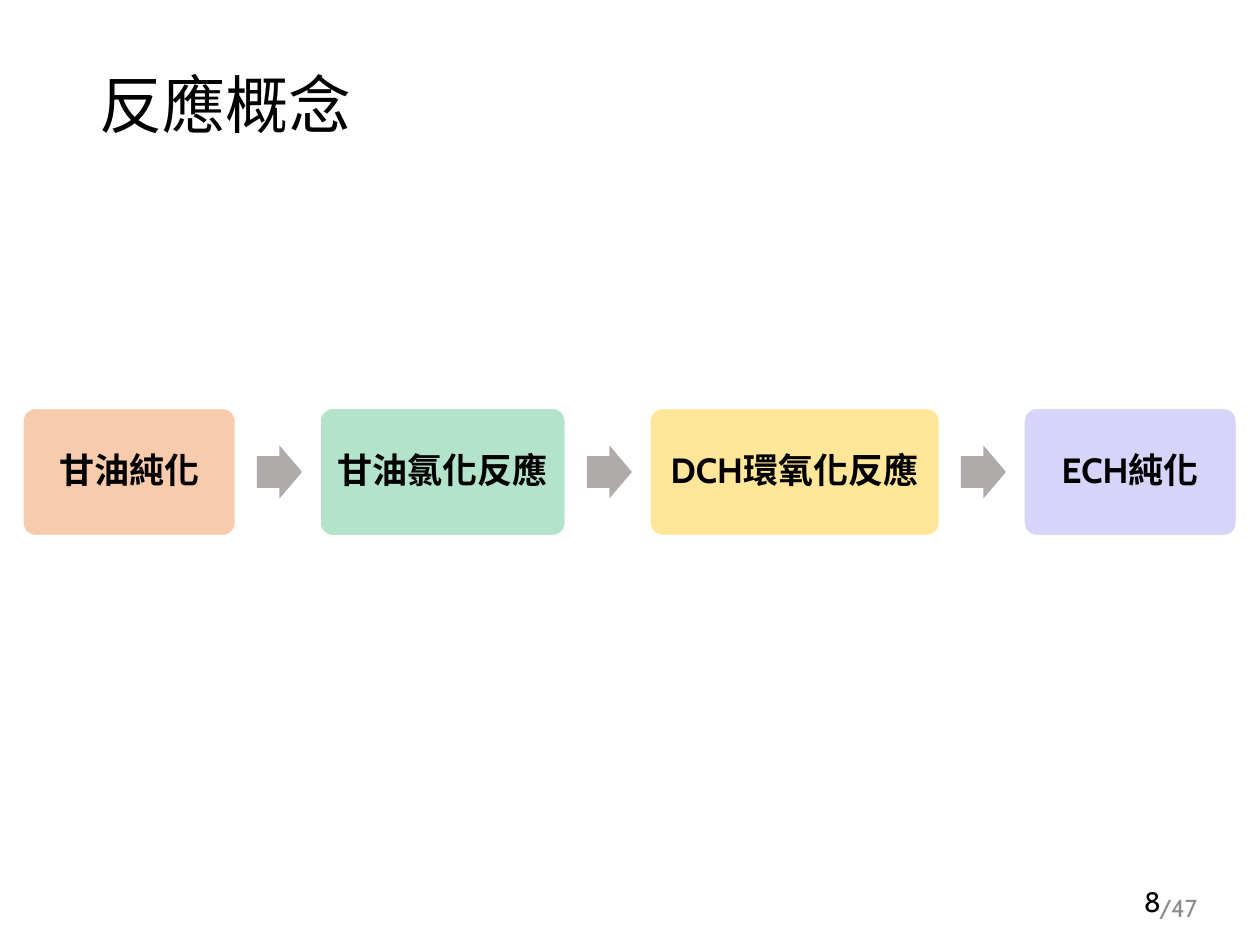
from lxml.etree import SubElement
from pptx import Presentation
from pptx.dml.color import RGBColor
from pptx.enum.shapes import MSO_SHAPE as SHAPE
from pptx.enum.text import MSO_ANCHOR as ANCHOR, PP_ALIGN as ALIGN
from pptx.oxml.ns import qn
from pptx.util import Cm, Pt

COLORS = {
    "black": "000000",
    "white": "FFFFFF",
    "gray": "8C8C8C",
    "arrow": "AFABAB",
    "peach": "F8CBAD",
    "mint": "B3E3CB",
    "yellow": "FFE699",
    "lilac": "D7D4FA",
}
FONT = "Cabin"
STEPS = [
    ("甘油純化", 4.29, "peach"),
    ("甘油氯化反應", 4.95, "mint"),
    ("DCH環氧化反應", 5.84, "yellow"),
    ("ECH純化", 4.29, "lilac"),
]
LEFT, GAP = 0.46, 1.7
STEP_TOP, STEP_H = 8.23, 2.57
ARROW_W, ARROW_H, ARROW_OFFSET = 0.91, 1.07, 0.43


def rgb(name):
    return RGBColor.from_string(COLORS[name])


def write(tf, text, size=20, color="black", bold=False, align=ALIGN.LEFT, spacing=1.0):
    tf.word_wrap = True
    tf.vertical_anchor = ANCHOR.MIDDLE
    p = tf.paragraphs[0]
    p.alignment = align
    p.line_spacing = spacing
    r = p.add_run()
    r.text = text
    r.font.size = Pt(size)
    r.font.bold = bold
    r.font.name = FONT
    r.font.color.rgb = rgb(color)
    props = r.font._element
    props.set("lang", "zh-TW")
    SubElement(props, qn("a:ea")).set("typeface", FONT)


class Deck:
    def __init__(self, width, height):
        self.prs = Presentation()
        self.prs.slide_width, self.prs.slide_height = Cm(width), Cm(height)
        self.s = self.prs.slides.add_slide(self.prs.slide_layouts[6])

    def text(self, x, y, w, h, text, **fmt):
        sp = self.s.shapes.add_textbox(Cm(x), Cm(y), Cm(w), Cm(h))
        write(sp.text_frame, text, **fmt)

    def shape(self, kind, x, y, w, h, fill, adjustments):
        sp = self.s.shapes.add_shape(kind, Cm(x), Cm(y), Cm(w), Cm(h))
        sp.shadow.inherit = False
        sp.fill.solid()
        sp.fill.fore_color.rgb = rgb(fill)
        sp.line.fill.background()
        for i, value in enumerate(adjustments):
            sp.adjustments[i] = value
        return sp

    def step(self, x, w, text, fill):
        sp = self.shape(SHAPE.ROUNDED_RECTANGLE, x, STEP_TOP, w, STEP_H, fill, [0.1])
        sp.line.color.rgb = rgb("white")
        sp.line.width = Pt(1)
        tf = sp.text_frame
        tf.margin_left = tf.margin_right = Cm(0.2)
        tf.margin_top = tf.margin_bottom = Cm(0.2)
        write(tf, text, bold=True, align=ALIGN.CENTER, spacing=0.9)

    def arrow(self, x):
        y = STEP_TOP + (STEP_H - ARROW_H) / 2
        self.shape(SHAPE.RIGHT_ARROW, x, y, ARROW_W, ARROW_H, "arrow", [0.6, 0.5])


def main():
    deck = Deck(25.4, 19.05)
    deck.text(1.75, 1.02, 21.9, 2.34, "反應概念", size=36, spacing=0.9)

    x = LEFT
    for i, (text, w, fill) in enumerate(STEPS):
        if i:
            deck.arrow(x - GAP + ARROW_OFFSET)
        deck.step(x, w, text, fill)
        x += w + GAP

    deck.text(22.25, 17.78, 3, 1.02, "/47", size=14, color="gray", align=ALIGN.CENTER)
    deck.text(17.93, 17.65, 5.72, 1.02, "8", size=16, align=ALIGN.RIGHT)
    deck.prs.save("out.pptx")


if __name__ == "__main__":
    main()
